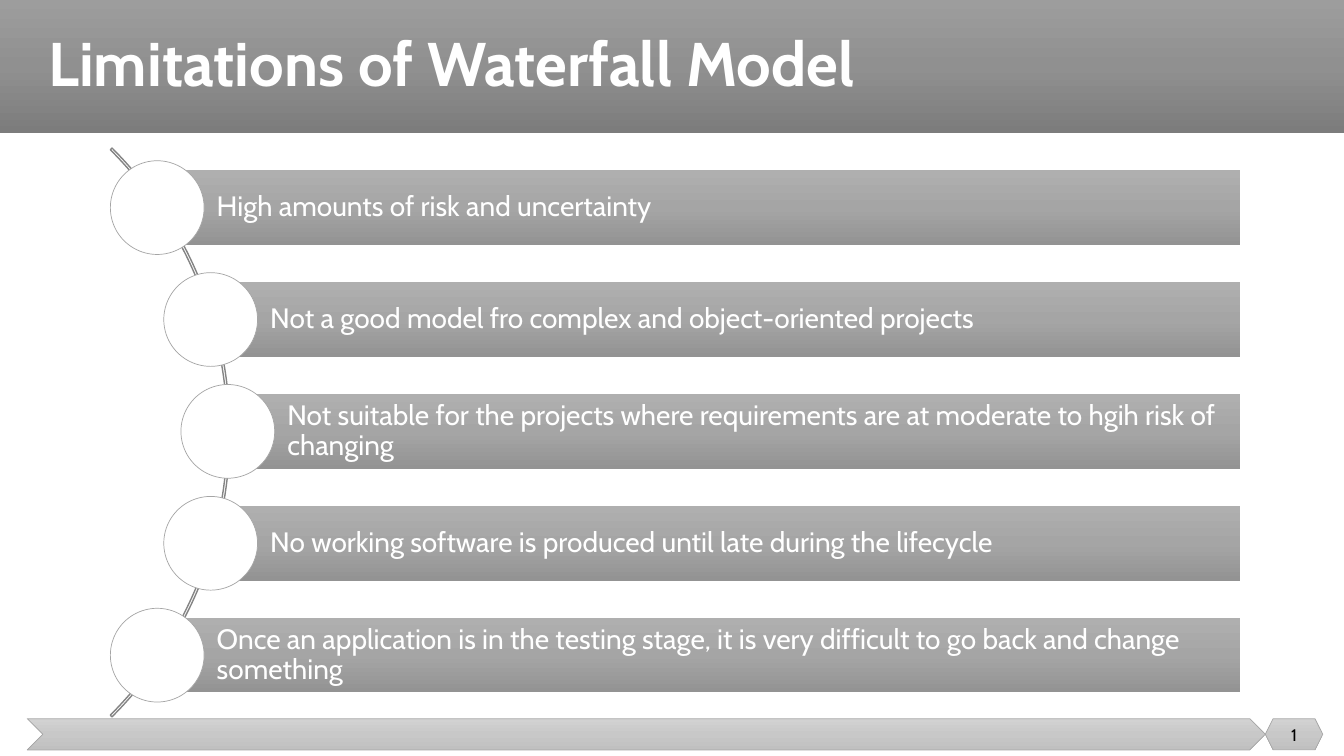
from copy import deepcopy

from lxml import etree
from pptx import Presentation
from pptx.dml.color import RGBColor
from pptx.enum.shapes import MSO_SHAPE
from pptx.enum.text import MSO_ANCHOR, PP_ALIGN
from pptx.oxml.ns import qn
from pptx.util import Inches, Pt

RECT, OVAL = MSO_SHAPE.RECTANGLE, MSO_SHAPE.OVAL
CHEVRON, HEXAGON, ARC = MSO_SHAPE.CHEVRON, MSO_SHAPE.HEXAGON, MSO_SHAPE.BLOCK_ARC
MIDDLE = MSO_ANCHOR.MIDDLE
LEFT, CENTER = PP_ALIGN.LEFT, PP_ALIGN.CENTER

WHITE = RGBColor(0xFF, 0xFF, 0xFF)
BLACK = RGBColor(0, 0, 0)
EDGE = RGBColor(0xA5, 0xA5, 0xA5)
CURVE = RGBColor(0x84, 0x84, 0x84)
HEAD = [RGBColor(0x9D, 0x9D, 0x9D), RGBColor(0x90, 0x90, 0x90), RGBColor(0x7C, 0x7C, 0x7C)]
FOOT = [RGBColor(0xD2, 0xD2, 0xD2), RGBColor(0xC8, 0xC8, 0xC8), RGBColor(0xC0, 0xC0, 0xC0)]
BAR = [RGBColor(0xAF, 0xAF, 0xAF), RGBColor(0xA5, 0xA5, 0xA5), RGBColor(0x93, 0x93, 0x93)]

prs = Presentation()
prs.slide_width, prs.slide_height = Inches(13.33), Inches(7.5)
slide = prs.slides.add_slide(prs.slide_layouts[5])
shapes = slide.shapes


def add_form(kind, box, fill=None, line=None, width=0.5):
    """Add a preset shape; fill is None, one colour or three gradient colours."""
    form = shapes.add_shape(kind, *map(Inches, box))
    form.shadow.inherit = False
    if fill is None:
        form.fill.background()
    elif isinstance(fill, list):
        form.fill.gradient()
        form.fill.gradient_angle = 270
        first = form._element.spPr.find(".//" + qn("a:gs"))
        first.addnext(deepcopy(first))
        for stop, place, tint in zip(form.fill.gradient_stops, (0, 0.5, 1), fill):
            stop.position = place
            stop.color.rgb = tint
    else:
        form.fill.solid()
        form.fill.fore_color.rgb = fill
    if line is None:
        form.line.fill.background()
    else:
        form.line.color.rgb = line
        form.line.width = Pt(width)
    return form


def set_text(form, text, size, color=WHITE, bold=False, align=LEFT, inset=(0.1, 0.05, 0.1, 0.05)):
    frame = form.text_frame
    frame.text = text
    frame.word_wrap = True
    frame.vertical_anchor = MIDDLE
    for side, gap in zip(("left", "top", "right", "bottom"), inset):
        setattr(frame, "margin_" + side, Inches(gap))
    par = frame.paragraphs[0]
    par.alignment = align
    par.line_spacing = 0.9
    look = {"name": "Cabin", "size": Pt(size), "bold": bold}
    for key, value in look.items():
        setattr(par.runs[0].font, key, value)
    par.runs[0].font.color.rgb = color
    return par


# Header and footer
add_form(RECT, (0, 0, 13.33, 1.32), HEAD)
add_form(CHEVRON, (0.27, 7.13, 12.28, 0.31), FOOT, EDGE)
add_form(HEXAGON, (12.55, 7.13, 0.57, 0.31), FOOT, EDGE)

title = shapes.title
title.left, title.top, title.width, title.height = map(Inches, (0.38, 0, 12.74, 1.32))
set_text(title, "Limitations of Waterfall Model", 44, bold=True)
shapes._spTree.append(title._element)

# Slide number as a live field
number = shapes.add_textbox(*map(Inches, (12.55, 7.1, 0.57, 0.4)))
par = set_text(number, "7", 12, BLACK, align=CENTER)
run = par.runs[0]._r
field = etree.SubElement(par._p, qn("a:fld"), type="slidenum",
                         id="{B6F15528-21DE-4FAA-801E-634DDDAF4B2B}")
field.extend(list(run))
par._p.remove(run)

# Curve with limitations along it
arc = add_form(ARC, (-5.7, 0.3, 7.98, 7.98), line=CURVE, width=1)
for i, value in enumerate((189, 27, 0.003)):
    arc.adjustments[i] = value

LIMITS = [
    (1.56, "High amounts of risk and uncertainty"),
    (2.09, "Not a good model fro complex and object-oriented projects"),
    (2.26, "Not suitable for the projects where requirements are at moderate to hgih risk of changing"),
    (2.09, "No working software is produced until late during the lifecycle"),
    (1.56, "Once an application is in the testing stage, it is very difficult to go back and change something"),
]
RIGHT, TOP, STEP, HIGH, DOT = 12.3, 1.69, 1.11, 0.74, 0.93

for i, (left, text) in enumerate(LIMITS):
    top = TOP + i * STEP
    bar = add_form(RECT, (left, top, RIGHT - left, HIGH), BAR)
    set_text(bar, text, 20, inset=(0.59, 0.06, 0.06, 0.06))
    add_form(OVAL, (left - DOT / 2, top + (HIGH - DOT) / 2, DOT, DOT), WHITE, EDGE)

prs.save("out.pptx")
